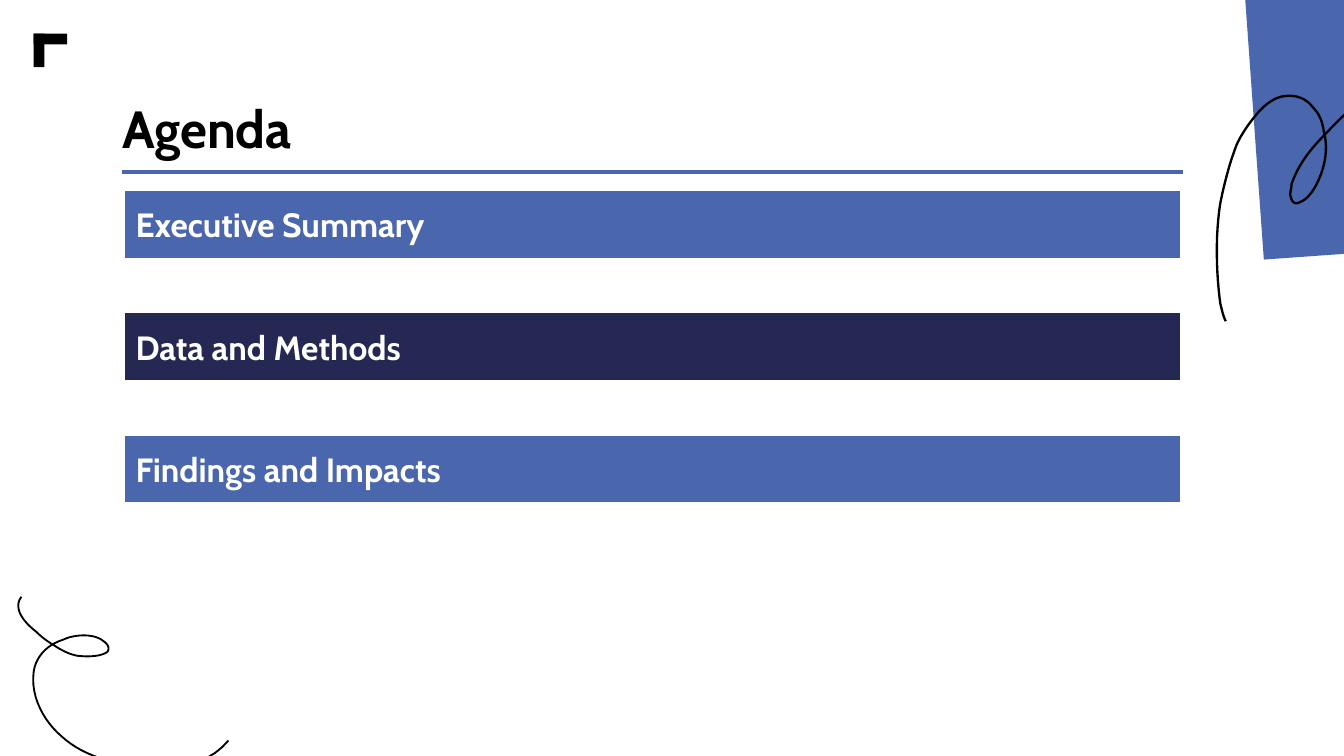
from lxml.etree import SubElement
from pptx import Presentation
from pptx.dml.color import RGBColor
from pptx.enum.shapes import MSO_CONNECTOR, MSO_SHAPE
from pptx.enum.text import MSO_ANCHOR, PP_ALIGN
from pptx.oxml.ns import qn
from pptx.util import Inches, Pt

COLORS = {name: RGBColor.from_string(value) for name, value in {
    "black": "000000", "white": "FFFFFF", "blue": "4A66AC", "navy": "242852",
}.items()}

# Widescreen 16:9 slide
prs = Presentation()
prs.slide_width = Inches(10)
prs.slide_height = Inches(10 * 9 / 16)
slide = prs.slides.add_slide(prs.slide_layouts[6])
shapes = slide.shapes


def add_block(left, top, width, height, color):
    block = shapes.add_shape(MSO_SHAPE.RECTANGLE, Inches(left), Inches(top),
                             Inches(width), Inches(height))
    block.shadow.inherit = False
    block.fill.solid()
    block.fill.fore_color.rgb = COLORS[color]
    block.line.fill.background()
    return block


def write_text(frame, text, size, color, margins):
    frame.word_wrap = True
    (frame.margin_left, frame.margin_top,
     frame.margin_right, frame.margin_bottom) = [Inches(m) for m in margins]
    frame.text = text
    frame.paragraphs[0].alignment = PP_ALIGN.LEFT
    font = frame.paragraphs[0].runs[0].font
    font.name, font.size, font.bold = "Cabin", Pt(size), True
    font.color.rgb = COLORS[color]


# Corner mark
add_block(0.25, 0.25, 0.08, 0.25, "black")
add_block(0.25, 0.25, 0.25, 0.08, "black")

# Tilted panel
panel = add_block(9.32, -0.41, 3.22, 2.23, "blue")
panel.rotation = 355.9

# Scribbles: a start point, then two control points and an end point per curve
right_scribble = [
    (9.12, 2.39), (9.1, 2.35), (9.09, 2.3), (9.08, 2.26),
    (9.05, 2.05), (9.04, 1.75), (9.08, 1.51),
    (9.11, 1.36), (9.15, 1.21), (9.2, 1.08),
    (9.24, 0.99), (9.3, 0.91), (9.35, 0.85),
    (9.4, 0.79), (9.46, 0.74), (9.53, 0.72),
    (9.62, 0.7), (9.71, 0.72), (9.77, 0.8),
    (9.82, 0.85), (9.84, 0.91), (9.85, 0.98),
    (9.89, 1.12), (9.85, 1.28), (9.78, 1.4),
    (9.75, 1.45), (9.71, 1.49), (9.68, 1.5),
    (9.63, 1.53), (9.61, 1.5), (9.6, 1.45),
    (9.6, 1.42), (9.61, 1.4), (9.61, 1.37),
    (9.66, 1.22), (9.76, 1.1), (9.85, 1.01),
    (9.95, 0.9), (10.06, 0.8), (10.17, 0.7),
]
left_scribble = [
    (0.16, 4.44), (0.09, 4.53), (0.19, 4.64), (0.27, 4.7),
    (0.31, 4.74), (0.35, 4.77), (0.4, 4.8),
    (0.46, 4.84), (0.52, 4.87), (0.58, 4.88),
    (0.68, 4.89), (0.76, 4.88), (0.8, 4.85),
    (0.82, 4.82), (0.8, 4.79), (0.77, 4.77),
    (0.7, 4.71), (0.55, 4.72), (0.47, 4.76),
    (0.34, 4.8), (0.26, 4.9), (0.25, 5.01),
    (0.23, 5.19), (0.33, 5.37), (0.46, 5.48),
    (0.59, 5.6), (0.77, 5.66), (0.94, 5.69),
    (1.2, 5.74), (1.52, 5.73), (1.7, 5.51),
]
STEPS = 12
for scribble, weight in ((right_scribble, 1.25), (left_scribble, 1)):
    points = [tuple(Inches(value) for value in scribble[0])]
    for i in range(0, len(scribble) - 1, 3):
        curve = scribble[i:i + 4]
        for step in range(1, STEPS + 1):
            t = step / STEPS
            weights = ((1 - t) ** 3, 3 * t * (1 - t) ** 2, 3 * t ** 2 * (1 - t), t ** 3)
            points.append(tuple(Inches(sum(w * p[axis] for w, p in zip(weights, curve)))
                                for axis in (0, 1)))
    builder = shapes.build_freeform(*points[0])
    builder.add_line_segments(points[1:], close=False)
    stroke = builder.convert_to_shape()
    stroke.shadow.inherit = False
    stroke.fill.background()
    stroke.line.color.rgb = COLORS["black"]
    stroke.line.width = Pt(weight)

# Title and rule
title = shapes.add_textbox(Inches(0.81), Inches(0.24), Inches(7.98), Inches(0.94))
write_text(title.text_frame, "Agenda", 28, "black", (0.1, 0, 0.1, 0))
title.text_frame.vertical_anchor = MSO_ANCHOR.BOTTOM

rule = shapes.add_connector(MSO_CONNECTOR.STRAIGHT, Inches(0.91), Inches(1.28),
                            Inches(8.8), Inches(1.28))
rule.line.color.rgb = COLORS["blue"]
rule.line.width = Pt(2.25)
SubElement(rule._element.spPr, qn("a:effectLst"))

# Agenda bars
agenda = [("Executive Summary", "blue"), ("Data and Methods", "navy"),
          ("Findings and Impacts", "blue")]
for row, (topic, color) in enumerate(agenda):
    bar = add_block(0.91, 1.4 + 0.91 * row, 7.89, 0.54, color)
    bar.line.color.rgb = COLORS["white"]
    bar.line.width = Pt(3)
    write_text(bar.text_frame, topic, 18, "white", (0.1, 0.12, 0, 0.12))
    bar.text_frame.vertical_anchor = MSO_ANCHOR.MIDDLE

prs.save("out.pptx")
